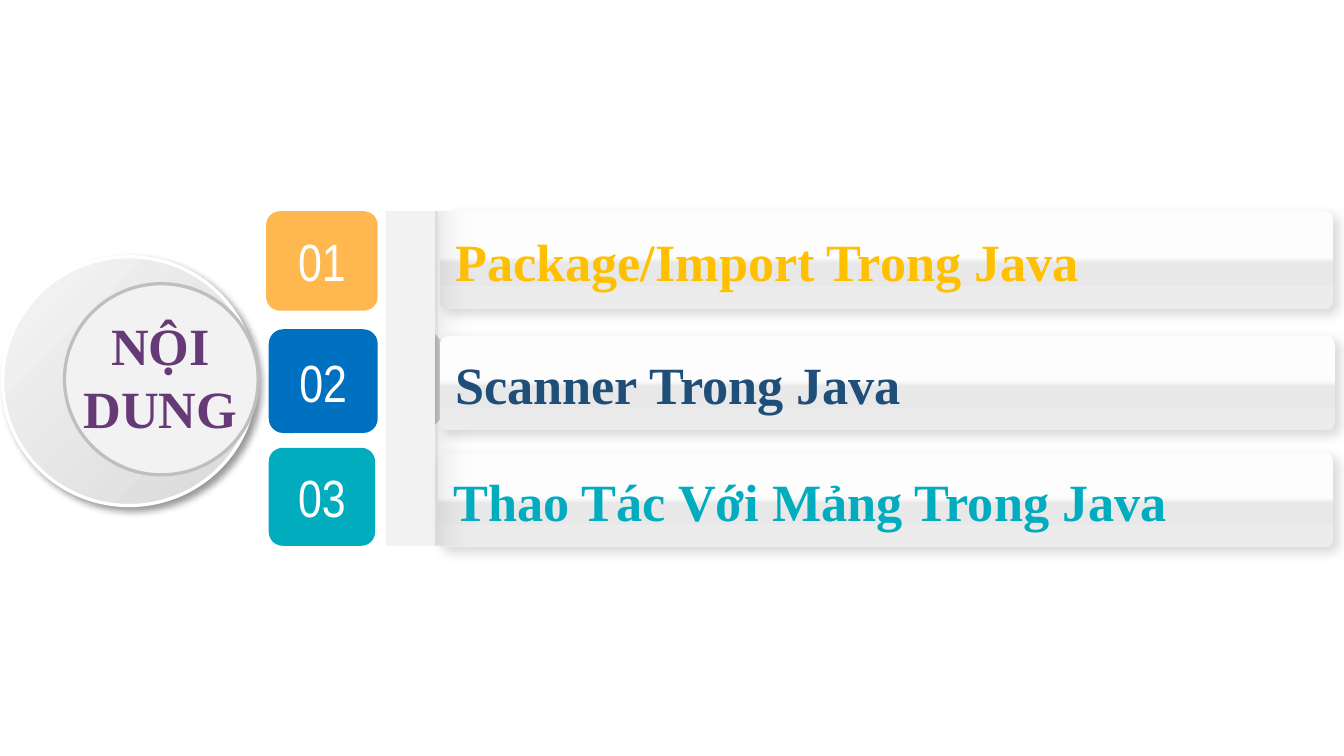
"""Build the contents slide with three numbered Java topics."""
from lxml import etree
from pptx import Presentation
from pptx.dml.color import RGBColor
from pptx.enum.shapes import MSO_SHAPE
from pptx.enum.text import MSO_ANCHOR, PP_ALIGN
from pptx.oxml.ns import qn
from pptx.util import Cm, Pt

OVAL, RECT = MSO_SHAPE.OVAL, MSO_SHAPE.RECTANGLE
ROUND, TRAPEZOID = MSO_SHAPE.ROUNDED_RECTANGLE, MSO_SHAPE.TRAPEZOID
LEFT, CENTER = PP_ALIGN.LEFT, PP_ALIGN.CENTER
TOP, MIDDLE = MSO_ANCHOR.TOP, MSO_ANCHOR.MIDDLE
SERIF, NARROW = "Times New Roman", "Arial Narrow"
rgb = RGBColor.from_string


def add_shape(kind, box, fill, angle=0, line=None, shadow=None, adj=None):
    sp = s.shapes.add_shape(kind, *[Cm(v) for v in box])
    sp.shadow.inherit = False
    if adj is not None:
        sp.adjustments[0] = adj
    if isinstance(fill, str):
        sp.fill.solid()
        sp.fill.fore_color.rgb = rgb(fill)
    else:
        sp.fill.gradient()
        sp.fill.gradient_angle = 360 - angle
        stops = sp._element.spPr.find(qn("a:gradFill")).find(qn("a:gsLst"))
        for gs in list(stops):
            stops.remove(gs)
        for pos, color, alpha in fill:
            gs = etree.SubElement(stops, qn("a:gs"), pos=str(pos * 1000))
            clr = etree.SubElement(gs, qn("a:srgbClr"), val=color)
            etree.SubElement(clr, qn("a:alpha"), val=str(alpha * 1000))
    if line:
        sp.line.color.rgb = rgb(line)
        sp.line.width = Pt(1.75)
    else:
        sp.line.fill.background()
    if shadow:
        alpha, blur, dist = shadow
        effects = sp._element.spPr.find(qn("a:effectLst"))
        outer = etree.SubElement(
            effects, qn("a:outerShdw"), blurRad=str(Pt(blur)), dist=str(Pt(dist)),
            dir="2700000", algn="tl", rotWithShape="0")
        clr = etree.SubElement(outer, qn("a:srgbClr"), val="000000")
        etree.SubElement(clr, qn("a:alpha"), val=str(alpha * 1000))
    return sp


def write(sp, text, font, color, bold, align, anchor):
    tf = sp.text_frame
    tf.word_wrap = True
    tf.vertical_anchor = anchor
    p = tf.paragraphs[0]
    p.alignment = align
    r = p.add_run()
    r.text = text
    r.font.name = font
    r.font.size = Pt(28)
    r.font.bold = bold
    r.font.color.rgb = rgb(color)


prs = Presentation()
prs.slide_width, prs.slide_height = Cm(25.4), Cm(14.28)
s = prs.slides.add_slide(prs.slide_layouts[5])

add_shape(OVAL, (0.05, 4.85, 4.78, 4.7), [(0, "F5F5F5", 100), (100, "D9D9D9", 100)],
          angle=45, line="FFFFFF", shadow=(40, 4, 3))
add_shape(OVAL, (1.22, 5.36, 3.66, 3.61), "F2F2F2", line="BFBFBF")

title = s.shapes.title
title.left, title.top, title.width, title.height = Cm(0.64), Cm(5.79), Cm(4.78), Cm(3.2)
write(title, "NỘI DUNG", SERIF, "663A77", True, CENTER, TOP)
s.shapes._spTree.append(title._element)

top, height = 3.99, 6.32
add_shape(RECT, (7.29, top, 0.99, height), "F2F2F2")

glossy = [(47, "FDFDFD", 100), (53, "E8E8E8", 100), (100, "ECECEC", 100)]
topics = [
    ("01", "FFB850", (5.03, 3.99, 2.11, 1.88),
     "Package/Import Trong Java", "FFC000", (8.31, 3.99, 16.89, 1.85)),
    ("03", "01ACBE", (5.08, 8.46, 2.01, 1.85),
     "Thao Tác Với Mảng Trong Java", "01ACBE", (8.28, 8.56, 16.92, 1.78)),
    ("02", "0070C0", (5.08, 6.22, 2.06, 1.96),
     "Scanner Trong Java", "1F4E79", (8.31, 6.35, 16.92, 1.78)),
]
for number, tile_color, tile_box, topic, topic_color, bar_box in topics:
    if number == "02":
        add_shape(RECT, (8.23, top, 0.76, height), [(0, "000000", 8), (100, "F2F2F2", 0)])
        fold = add_shape(TRAPEZOID, (7.77, 6.78, 1.68, 0.76),
                         [(0, "F2F2F2", 0), (100, "000000", 21)], angle=90, adj=1.74)
        fold.rotation = 90
    tile = add_shape(ROUND, tile_box, tile_color, adj=0.14)
    write(tile, number, NARROW, "FFFFFF", False, CENTER, MIDDLE)
    bar = add_shape(ROUND, bar_box, glossy, angle=90, shadow=(14, 6, 3), adj=0.09)
    write(bar, topic, SERIF, topic_color, True, LEFT, MIDDLE)

prs.save("out.pptx")
